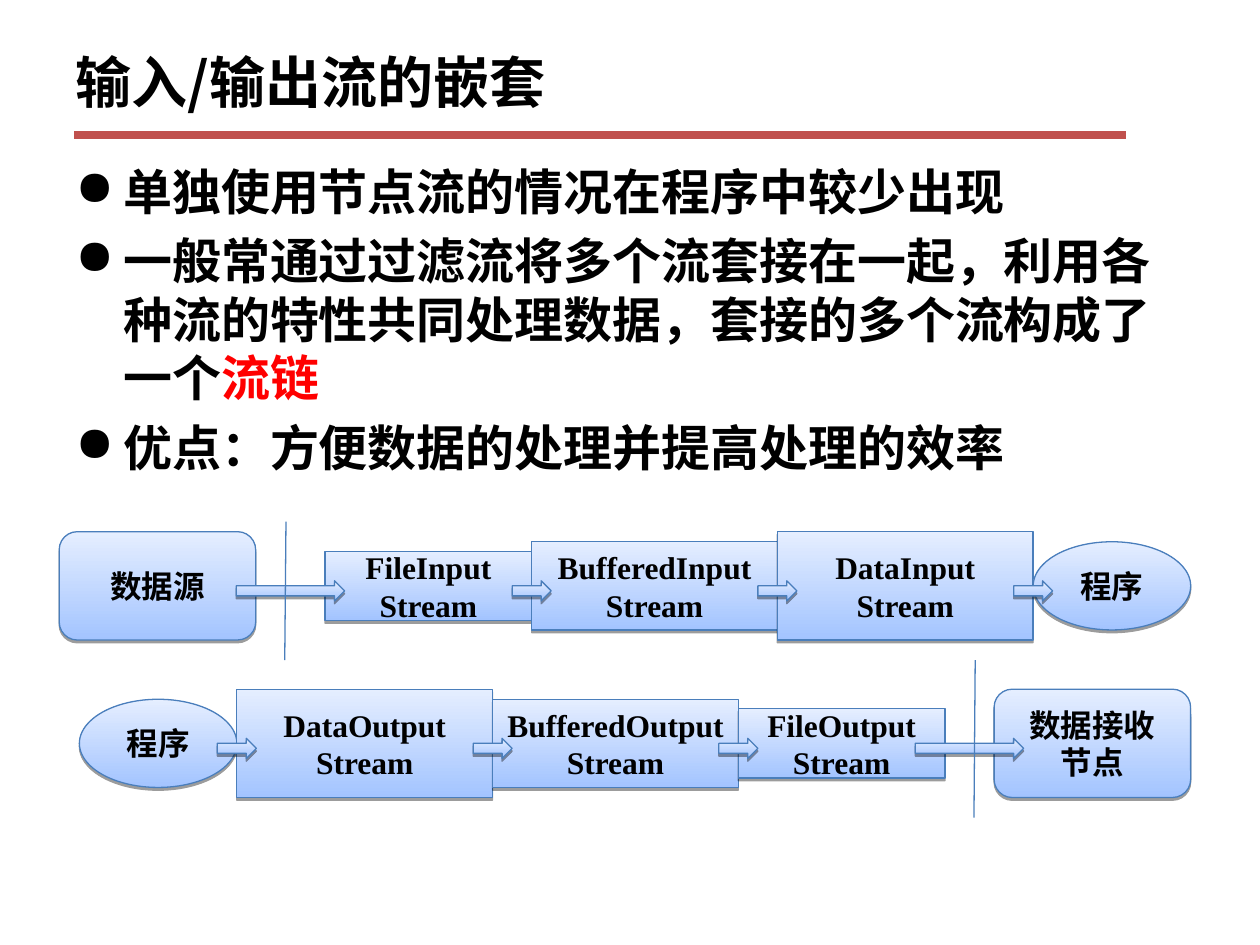
import pptx
import pptx.dml.color
import pptx.enum.dml
import pptx.enum.shapes
import pptx.enum.text
import pptx.oxml
import pptx.oxml.ns
import pptx.util
from lxml import etree

Inches = pptx.util.Inches
Pt = pptx.util.Pt
SHAPE = pptx.enum.shapes.MSO_SHAPE
ALIGN = pptx.enum.text.PP_ALIGN
qn = pptx.oxml.ns.qn

COLORS = {
    "text": "000000",
    "accent": "FF0000",
    "rule": "C0504D",
    "outline": "4A7EBB",
    "deep": "A3C4FF",
    "pale": "E5EEFF",
}
LATIN = "Times New Roman"
CJK = "Noto Sans CJK SC"
LINE_FACTOR = 1.2

SOURCE = (SHAPE.ROUNDED_RECTANGLE, 1.56, 0.86)
PROGRAM = (SHAPE.OVAL, 1.25, 0.7)
FILE = (SHAPE.RECTANGLE, 1.64, 0.55)
BUFFERED = (SHAPE.RECTANGLE, 1.95, 0.7)
DATA = (SHAPE.RECTANGLE, 2.03, 0.86)


def rgb(name):
    return pptx.dml.color.RGBColor.from_string(COLORS[name])


def add_run(paragraph, text, size=18, latin=LATIN, color="text"):
    run = paragraph.add_run()
    run.text = text
    run.font.size = Pt(size)
    run.font.bold = True
    run.font.name = latin
    run.font.color.rgb = rgb(color)
    east_asian = etree.SubElement(run.font._element, qn("a:ea"))
    east_asian.set("typeface", CJK)


def write_text(frame, paragraphs, size=18, latin=LATIN, align=ALIGN.LEFT,
               anchor=pptx.enum.text.MSO_ANCHOR.TOP, exact=True, bullet=None, before=0):
    frame.word_wrap = True
    frame.vertical_anchor = anchor
    for index, runs in enumerate(paragraphs):
        paragraph = frame.add_paragraph() if index else frame.paragraphs[0]
        paragraph.alignment = align
        paragraph.space_before = Pt(before)
        if exact:
            paragraph.line_spacing = Pt(size * LINE_FACTOR)
        if bullet:
            add_bullet(paragraph, bullet)
        for text, color in runs:
            add_run(paragraph, text, size=size, latin=latin, color=color)


def add_bullet(paragraph, mark):
    properties = paragraph._p.get_or_add_pPr()
    properties.set("marL", str(Inches(0.38)))
    properties.set("indent", str(-Inches(0.38)))
    bullet_color = etree.SubElement(properties, qn("a:buClr"))
    etree.SubElement(bullet_color, qn("a:srgbClr")).set("val", COLORS["text"])
    etree.SubElement(properties, qn("a:buChar")).set("char", mark)


def add_line(shapes, start, end, color, width):
    line = shapes.add_connector(
        pptx.enum.shapes.MSO_CONNECTOR.STRAIGHT,
        *(Inches(value) for value in start + end))
    line.line.color.rgb = rgb(color)
    line.line.width = Pt(width)
    etree.SubElement(line._element.spPr, qn("a:effectLst"))


def add_node(shapes, kind, left, middle, width, height, lines=()):
    node = shapes.add_shape(kind, Inches(left), Inches(middle - height / 2),
                            Inches(width), Inches(height))
    node.fill.gradient()
    node.fill.gradient_angle = 90
    for stop, color in zip(node.fill.gradient_stops, ("deep", "pale")):
        stop.color.rgb = rgb(color)
    node.line.color.rgb = rgb("outline")
    node.line.width = Pt(0.75)
    node.shadow.inherit = False
    effects = node._element.spPr.find(qn("a:effectLst"))
    effects.append(pptx.oxml.parse_xml(
        '<a:outerShdw xmlns:a="http://schemas.openxmlformats.org/drawingml/2006/main" '
        'blurRad="0" dist="20320" dir="5400000" rotWithShape="0">'
        '<a:srgbClr val="000000"><a:alpha val="38000"/></a:srgbClr></a:outerShdw>'))
    if lines:
        write_text(node.text_frame, [[(line, "text")] for line in lines],
                   align=ALIGN.CENTER, anchor=pptx.enum.text.MSO_ANCHOR.MIDDLE)


def add_chain(slide, left, middle, stages, boundary):
    shapes = slide.shapes.add_group_shape().shapes
    joints = []
    for (kind, width, height), lines, gap in stages:
        add_node(shapes, kind, left, middle, width, height, lines)
        left += width
        joints.append((left + gap / 2, 0.86 if gap else 0.31))
        left += gap
    for center, length in joints[:-1]:
        add_node(shapes, SHAPE.RIGHT_ARROW, center - length / 2, middle + 0.04, length, 0.16)
    add_line(shapes, *boundary, "outline", 0.75)


def main():
    deck = pptx.Presentation()
    deck.slide_width, deck.slide_height = Inches(10), Inches(7.5)
    slide = deck.slides.add_slide(deck.slide_layouts[6])

    add_line(slide.shapes, (0.59, 1.07), (8.94, 1.07), "rule", 4.5)
    title = slide.shapes.add_textbox(Inches(0.5), Inches(0.21), Inches(9), Inches(0.87))
    write_text(title.text_frame, [[("输入/输出流的嵌套", "text")]], size=32, latin=CJK,
               anchor=pptx.enum.text.MSO_ANCHOR.MIDDLE, exact=False)
    points = slide.shapes.add_textbox(Inches(0.5), Inches(1.23), Inches(9), Inches(5.83))
    write_text(points.text_frame, [
        [("单独使用节点流的情况在程序中较少出现", "text")],
        [("一般常通过过滤流将多个流套接在一起，利用各种流的特性共同处理数据，"
          "套接的多个流构成了一个", "text"), ("流链", "accent")],
        [("优点：方便数据的处理并提高处理的效率", "text")],
    ], size=28, bullet="●", before=6)

    add_chain(slide, 0.47, 4.65, [
        (SOURCE, ["数据源"], 0.55),
        (FILE, ["FileInput", "Stream"], 0),
        (BUFFERED, ["BufferedInput", "Stream"], 0),
        (DATA, ["DataInput", "Stream"], 0),
        (PROGRAM, ["程序"], 0),
    ], ((2.27, 4.14), (2.26, 5.24)))
    add_chain(slide, 0.63, 5.9, [
        (PROGRAM, ["程序"], 0),
        (DATA, ["DataOutput", "Stream"], 0),
        (BUFFERED, ["BufferedOutput", "Stream"], 0),
        (FILE, ["FileOutput", "Stream"], 0.39),
        (SOURCE, ["数据接收", "节点"], 0),
    ], ((7.74, 5.24), (7.73, 6.49)))
    deck.save("out.pptx")


if __name__ == "__main__":
    main()
